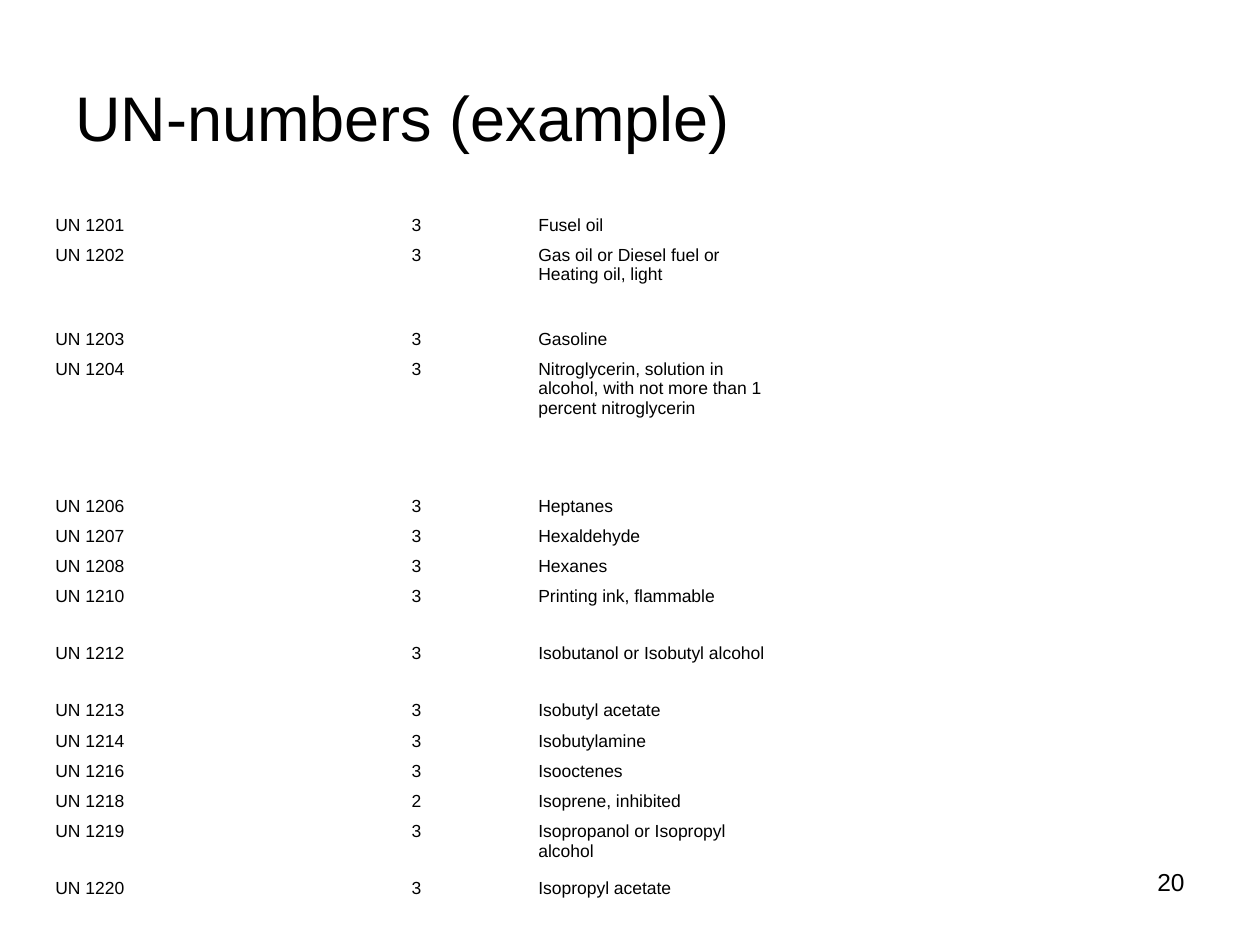
import pptx
import pptx.dml.color
import pptx.enum.text
import pptx.util

BLACK = pptx.dml.color.RGBColor(0, 0, 0)
ALIGN = pptx.enum.text.PP_ALIGN
ANCHOR = pptx.enum.text.MSO_ANCHOR

# UN number, hazard class, substance, extra lines of row height
SUBSTANCES = [
    ("UN 1201", "3", "Fusel oil", 0),
    ("UN 1202", "3", "Gas oil or Diesel fuel or Heating oil, light", 2),
    ("UN 1203", "3", "Gasoline", 0),
    ("UN 1204", "3", "Nitroglycerin, solution in alcohol, with not more than "
     "1 percent nitroglycerin", 4),
    ("UN 1206", "3", "Heptanes", 0),
    ("UN 1207", "3", "Hexaldehyde", 0),
    ("UN 1208", "3", "Hexanes", 0),
    ("UN 1210", "3", "Printing ink, flammable", 1),
    ("UN 1212", "3", "Isobutanol or Isobutyl alcohol", 1),
    ("UN 1213", "3", "Isobutyl acetate", 0),
    ("UN 1214", "3", "Isobutylamine", 0),
    ("UN 1216", "3", "Isooctenes", 0),
    ("UN 1218", "2", "Isoprene, inhibited", 0),
    ("UN 1219", "3", "Isopropanol or Isopropyl alcohol", 1),
    ("UN 1220", "3", "Isopropyl acetate", 0),
]


class SlideBuilder:
    """Places elements on a grid of 100 columns by 75 rows."""

    font = "Arial"
    color = BLACK

    def __init__(self, prs):
        self.column = prs.slide_width / 100
        self.row = prs.slide_height / 75
        self.slide = prs.slides.add_slide(prs.slide_layouts[6])

    def cols(self, n):
        return pptx.util.Emu(round(n * self.column))

    def rows(self, n):
        return pptx.util.Emu(round(n * self.row))

    def set_text(self, tf, text, size, align):
        tf.word_wrap = True
        p = tf.paragraphs[0]
        p.text = text
        p.alignment = align
        p.font.name = self.font
        p.font.size = pptx.util.Pt(size)
        p.font.color.rgb = self.color

    def text(self, text, x, y, w, h, size, align=ALIGN.LEFT, anchor=ANCHOR.TOP):
        sp = self.slide.shapes.add_textbox(
            self.cols(x), self.rows(y), self.cols(w), self.rows(h))
        sp.text_frame.vertical_anchor = anchor
        self.set_text(sp.text_frame, text, size, align)

    def table(self, records, x, y, w, aligns, size, line, extra_line):
        """Each record ends with its number of extra lines of height."""
        heights = [line + extra_line * record[-1] for record in records]
        table = self.slide.shapes.add_table(
            len(records), len(aligns), self.cols(x), self.rows(y),
            self.cols(w), self.rows(sum(heights))).table
        table.first_row = table.horz_banding = False
        for row, height, record in zip(table.rows, heights, records):
            row.height = self.rows(height)
            for cell, text, align in zip(row.cells, record, aligns):
                cell.fill.background()
                cell.margin_left = cell.margin_right = self.cols(0.1)
                cell.margin_top = cell.margin_bottom = self.rows(0.1)
                self.set_text(cell.text_frame, text, size, align)


def main():
    prs = pptx.Presentation()
    prs.slide_width = pptx.util.Inches(10)
    prs.slide_height = pptx.util.Inches(7.5)

    s = SlideBuilder(prs)
    s.text("UN-numbers (example)", 5, 3, 90, 12.5, 36, anchor=ANCHOR.MIDDLE)
    s.text("20", 71.7, 68.3, 23.3, 5.2, 14, ALIGN.RIGHT)
    s.table(SUBSTANCES, 4.3, 17, 57.5, (ALIGN.LEFT, ALIGN.CENTER, ALIGN.LEFT),
            size=10, line=2.4, extra_line=2.12)

    prs.save("out.pptx")


if __name__ == "__main__":
    main()
